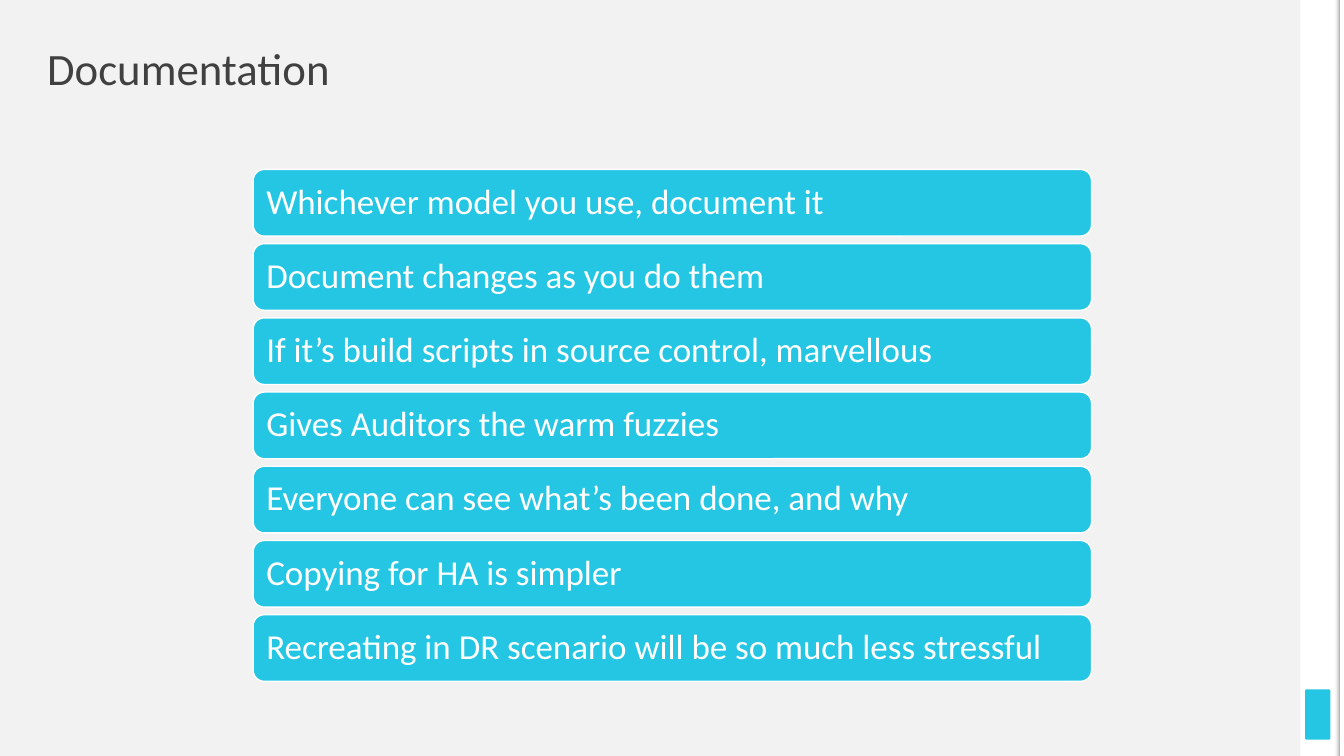
from lxml import etree
from pptx import Presentation
from pptx import util as u
from pptx.dml.color import RGBColor
from pptx.enum import shapes, text
from pptx.oxml.ns import qn

ACCENT, WHITE, BACKDROP = "25C6E3", "FFFFFF", "F2F2F2"
SLIDE_WIDTH, SLIDE_HEIGHT = 33.87, 19.05

ADVICE = [
    "Whichever model you use, document it",
    "Document changes as you do them",
    "If it’s build scripts in source control, marvellous",
    "Gives Auditors the warm fuzzies",
    "Everyone can see what’s been done, and why",
    "Copying for HA is simpler",
    "Recreating in DR scenario will be so much less stressful",
]


def colour(hex_value):
    return RGBColor.from_string(hex_value)


def add_block(slide, kind, box, fill, corner=None, outline=None):
    """Add a flat preset shape; box is left, top, width, height in cm."""
    block = slide.shapes.add_shape(kind, *map(u.Cm, box))
    block.shadow.inherit = False
    block.fill.solid()
    block.fill.fore_color.rgb = colour(fill)
    if corner is not None:
        block.adjustments[0] = corner
    if outline:
        block.line.color.rgb = colour(outline)
        block.line.width = u.Pt(1)
    else:
        block.line.fill.background()
    return block


def write_line(holder, wording, size, hex_value, inset):
    frame = holder.text_frame
    frame_format = dict.fromkeys(
        ("margin_left", "margin_top", "margin_right", "margin_bottom"), u.Cm(inset))
    frame_format.update(word_wrap=True, vertical_anchor=text.MSO_ANCHOR.MIDDLE)
    for name, value in frame_format.items():
        setattr(frame, name, value)
    paragraph = frame.paragraphs[0]
    paragraph.text = wording
    paragraph.alignment = text.PP_ALIGN.LEFT
    paragraph.line_spacing = 0.9
    for name, value in {"size": u.Pt(size), "name": "Calibri"}.items():
        setattr(paragraph.font, name, value)
    paragraph.font.color.rgb = colour(hex_value)


def add_edge_shade(slide, box):
    """Add a strip that fades from clear on the left to grey on the right."""
    shade = add_block(slide, shapes.MSO_SHAPE.RECTANGLE, box, WHITE)
    shade.fill.gradient()
    shade.fill.gradient_angle = 0
    for stop, hex_value in zip(shade.fill.gradient_stops, (BACKDROP, "A6A6A6")):
        stop.color.rgb = colour(hex_value)
    clear = next(shade._element.spPr.iter(qn("a:srgbClr")))
    etree.SubElement(clear, qn("a:alpha"), val="0")


def add_side_panel(slide):
    rectangle = shapes.MSO_SHAPE.RECTANGLE
    add_block(slide, rectangle, (32.77, 0, 0.99, SLIDE_HEIGHT), WHITE)
    add_block(slide, shapes.MSO_SHAPE.ROUNDED_RECTANGLE,
              (32.89, 17.37, 0.64, 1.27), ACCENT, corner=0.07)
    add_block(slide, rectangle, (33.74, 0, 0.13, SLIDE_HEIGHT), WHITE)
    add_edge_shade(slide, (33.62, 0, 0.13, SLIDE_HEIGHT))


def add_title(slide, wording):
    title = slide.shapes.add_textbox(*map(u.Cm, (1.19, 1.19, 15.19, 1.19)))
    write_line(title, wording, 32, "404040", inset=0)


def add_advice_bars(slide, top=4.27, pitch=1.87):
    for row, wording in enumerate(ADVICE):
        bar = add_block(slide, shapes.MSO_SHAPE.ROUNDED_RECTANGLE,
                        (6.38, top + row * pitch, 21.13, 1.68),
                        ACCENT, outline=WHITE)
        write_line(bar, wording, 25, WHITE, inset=0.25)


def main():
    deck = Presentation()
    deck.slide_width, deck.slide_height = u.Cm(SLIDE_WIDTH), u.Cm(SLIDE_HEIGHT)
    slide = deck.slides.add_slide(deck.slide_layouts[6])
    slide.background.fill.solid()
    slide.background.fill.fore_color.rgb = colour(BACKDROP)
    add_side_panel(slide)
    add_title(slide, "Documentation")
    add_advice_bars(slide)
    deck.save("out.pptx")


if __name__ == "__main__":
    main()
